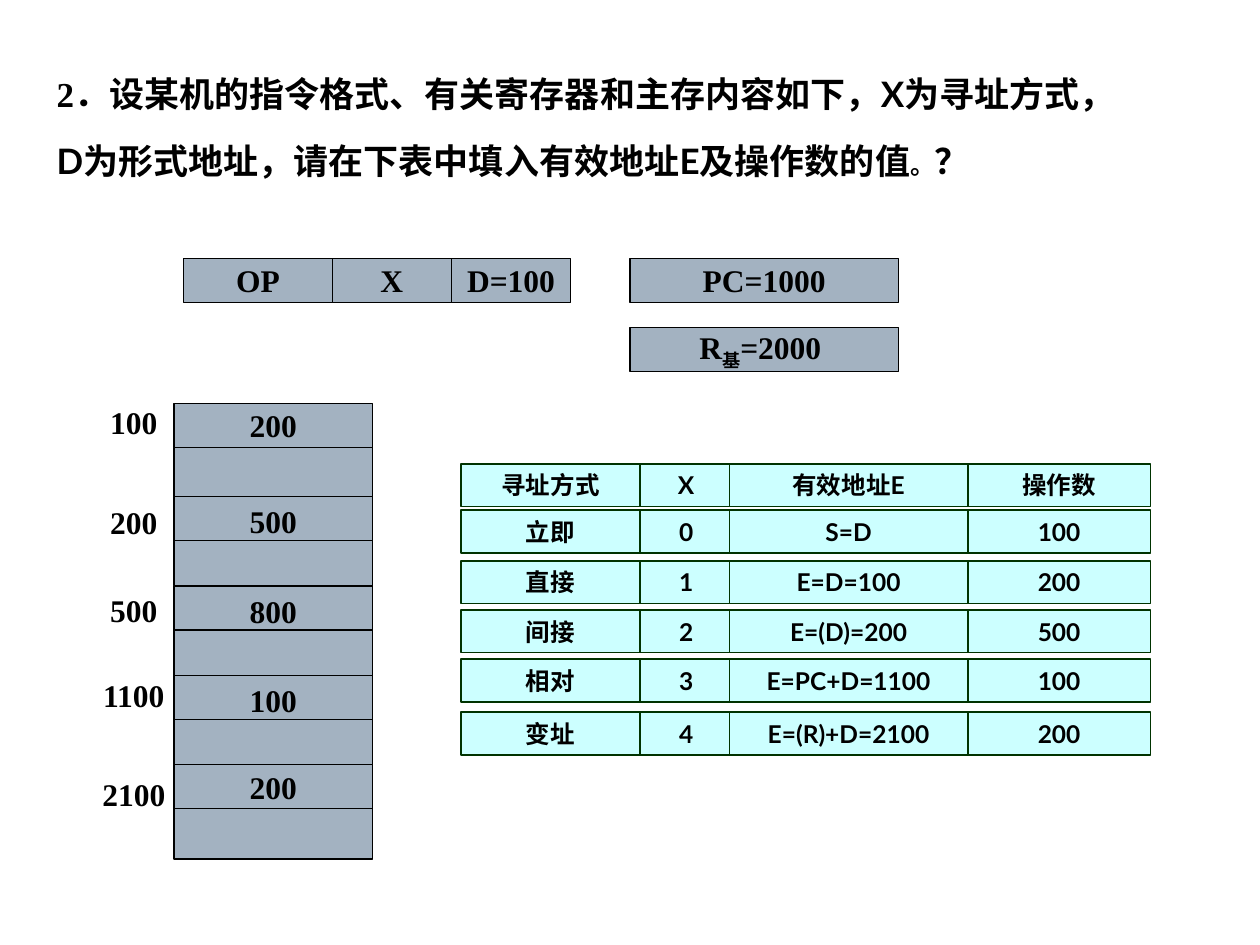
from dataclasses import dataclass

from pptx import Presentation
from pptx.dml.color import RGBColor
from pptx.enum import shapes, text
from pptx.util import Pt


@dataclass(frozen=True)
class Theme:
    ink: str = "000000"
    slate: str = "A3B2C1"
    cyan: str = "CCFFFF"
    green: str = "003300"
    serif: str = "Times New Roman"
    sans: str = "Lato"
    head: int = 20
    body: int = 18
    small: int = 14


T = Theme()
MID = text.PP_ALIGN.CENTER
GROW = text.MSO_AUTO_SIZE.SHAPE_TO_FIT_TEXT

# Addressing table: mode, X, effective address, operand
ROWS = [
    ("寻址方式", "X", "有效地址E", "操作数"),
    ("立即", "0", "S=D", "100"),
    ("直接", "1", "E=D=100", "200"),
    ("间接", "2", "E=(D)=200", "500"),
    ("相对", "3", "E=PC+D=1100", "100"),
    ("变址", "4", "E=(R)+D=2100", "200"),
]
TOPS = [265, 291.6, 320.4, 348.5, 376.6, 406.8]
# Left edge and width; the address column lies on top, so it comes last
COLS = {0: (263.5, 102.2), 1: (365.8, 52.6), 3: (553, 104.4), 2: (416.9, 136.1)}

# Main memory: top, height, content
CELLS = [
    (230.4, 25.2, "200"), (255.6, 28.1, ""),
    (283.7, 28.1, "500"), (308.9, 25.9, ""),
    (334.8, 28.1, "800"), (360, 31.7, ""),
    (385.9, 28.1, "100"), (411.1, 25.9, ""),
    (437, 25.9, "200"), (462.2, 28.8, ""),
]
# Memory addresses: top, width, text
MARKS = [
    (226.8, 45.4, "100"), (283.7, 45.4, "200"), (334.1, 45.4, "500"),
    (383, 67.7, "1100"), (439.2, 67.7, "2100"),
]


def add_run(para, words, size, face, base=0):
    run = para.add_run()
    run.text = words
    font = run.font
    font.size, font.name, font.bold = Pt(size), face, True
    font.color.rgb = RGBColor.from_string(T.ink)
    if base:
        run._r.get_or_add_rPr().set("baseline", str(base * 1000))


def add_box(slide, x, y, w, h, fill, line, width):
    box = slide.shapes.add_shape(
        shapes.MSO_SHAPE.RECTANGLE, Pt(x), Pt(y), Pt(w), Pt(h))
    box.shadow.inherit = False
    box.fill.solid()
    box.fill.fore_color.rgb = RGBColor.from_string(fill)
    box.line.color.rgb = RGBColor.from_string(line)
    box.line.width = Pt(width)
    frame = box.text_frame
    frame.vertical_anchor = text.MSO_ANCHOR.MIDDLE
    frame.paragraphs[0].alignment = MID
    return frame


def add_cell(slide, x, y, w, h, *parts):
    """Grey register or memory cell; parts are (words, baseline)."""
    frame = add_box(slide, x, y, w, h, T.slate, T.ink, 0.75)
    frame.word_wrap = False
    for words, base in parts:
        add_run(frame.paragraphs[0], words, T.body, T.serif, base)


def add_entry(slide, x, y, w, words):
    """Cyan entry of the addressing table."""
    frame = add_box(slide, x, y, w, 24.5, T.cyan, T.green, 1)
    frame.word_wrap = True
    frame.auto_size = GROW
    add_run(frame.paragraphs[0], words, T.small, T.sans)


def add_mark(slide, mid, y, w, words):
    """Address label centred on mid."""
    box = slide.shapes.add_textbox(Pt(mid - w / 2), Pt(y), Pt(w), Pt(28.8))
    frame = box.text_frame
    frame.word_wrap = True
    frame.auto_size = GROW
    frame.paragraphs[0].alignment = MID
    add_run(frame.paragraphs[0], words, T.body, T.serif)


def set_title(slide):
    title = slide.shapes.title
    title.left, title.top = Pt(25.2), Pt(20.2)
    title.width, title.height = Pt(625.7), Pt(90)
    frame = title.text_frame
    frame.word_wrap = True
    frame.auto_size = GROW
    frame.vertical_anchor = text.MSO_ANCHOR.MIDDLE
    frame.margin_top = frame.margin_bottom = Pt(6.5)
    para = frame.paragraphs[0]
    para.alignment = text.PP_ALIGN.LEFT
    para.line_spacing = 1.6
    add_run(para, "2．", T.head, T.serif)
    add_run(para, "设某机的指令格式、有关寄存器和主存内容如下，X为寻址方式，"
                  "D为形式地址，请在下表中填入有效地址E及操作数的值", T.head, T.sans)
    add_run(para, "。", T.small, T.sans)
    add_run(para, "？", T.head, T.serif)


def main():
    deck = Presentation()
    deck.slide_width, deck.slide_height = Pt(720), Pt(540)
    slide = deck.slides.add_slide(deck.slide_layouts[5])
    set_title(slide)

    # Main memory with its addresses
    for y, h, words in CELLS:
        add_cell(slide, 99.4, y, 113.4, h, *([(words, 0)] if words else []))
    for y, w, words in MARKS:
        add_mark(slide, 76.5, y, w, words)

    # Instruction format
    x = 104.9
    for words, w in (("OP", 85), ("X", 68.1), ("D=100", 68.1)):
        add_cell(slide, x, 147.6, w, 25.2, (words, 0))
        x += w

    # Registers
    add_cell(slide, 360, 147.6, 153.4, 25.2, ("PC=1000", 0))
    add_cell(slide, 360, 187.2, 153.4, 25.2,
             ("R", 0), ("基", -25), ("=2000 ", 0))

    # Addressing table, rows set apart by gaps
    for col, (x, w) in COLS.items():
        for y, row in zip(TOPS, ROWS):
            add_entry(slide, x, y, w, row[col])

    deck.save("out.pptx")


if __name__ == "__main__":
    main()
